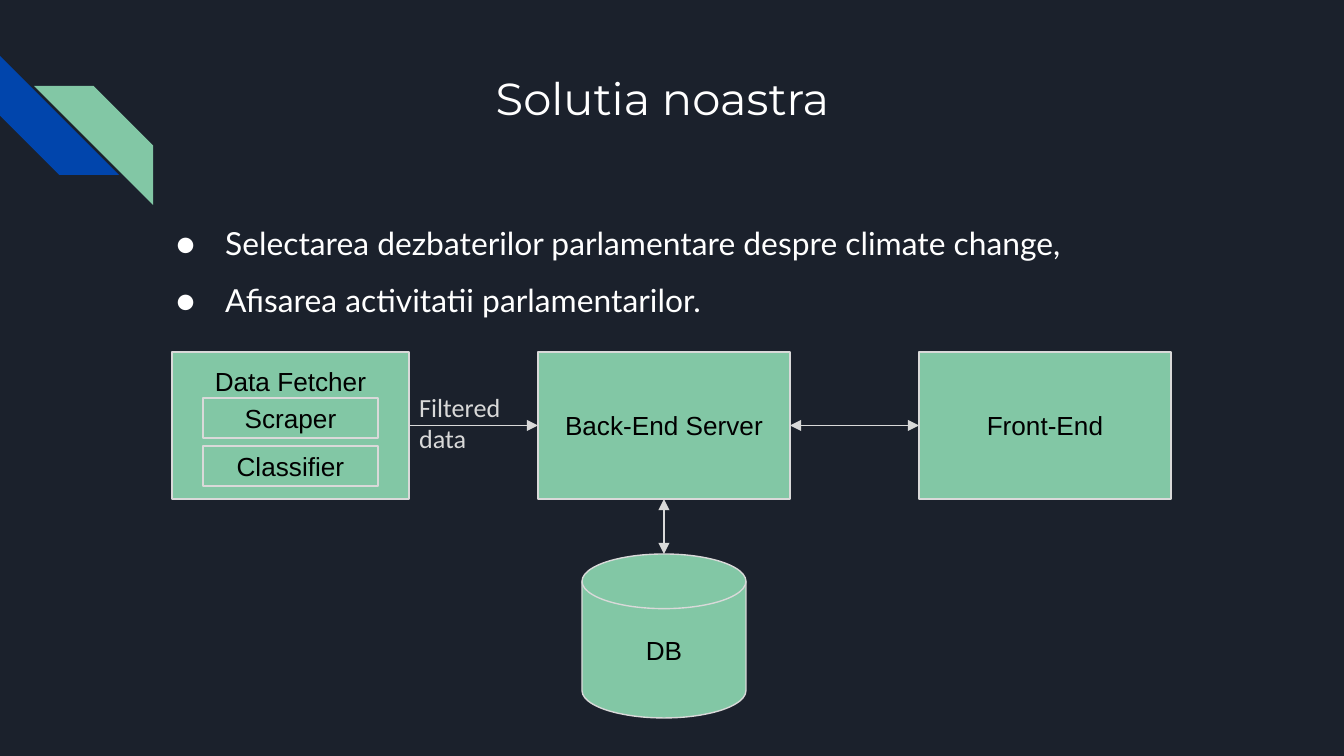
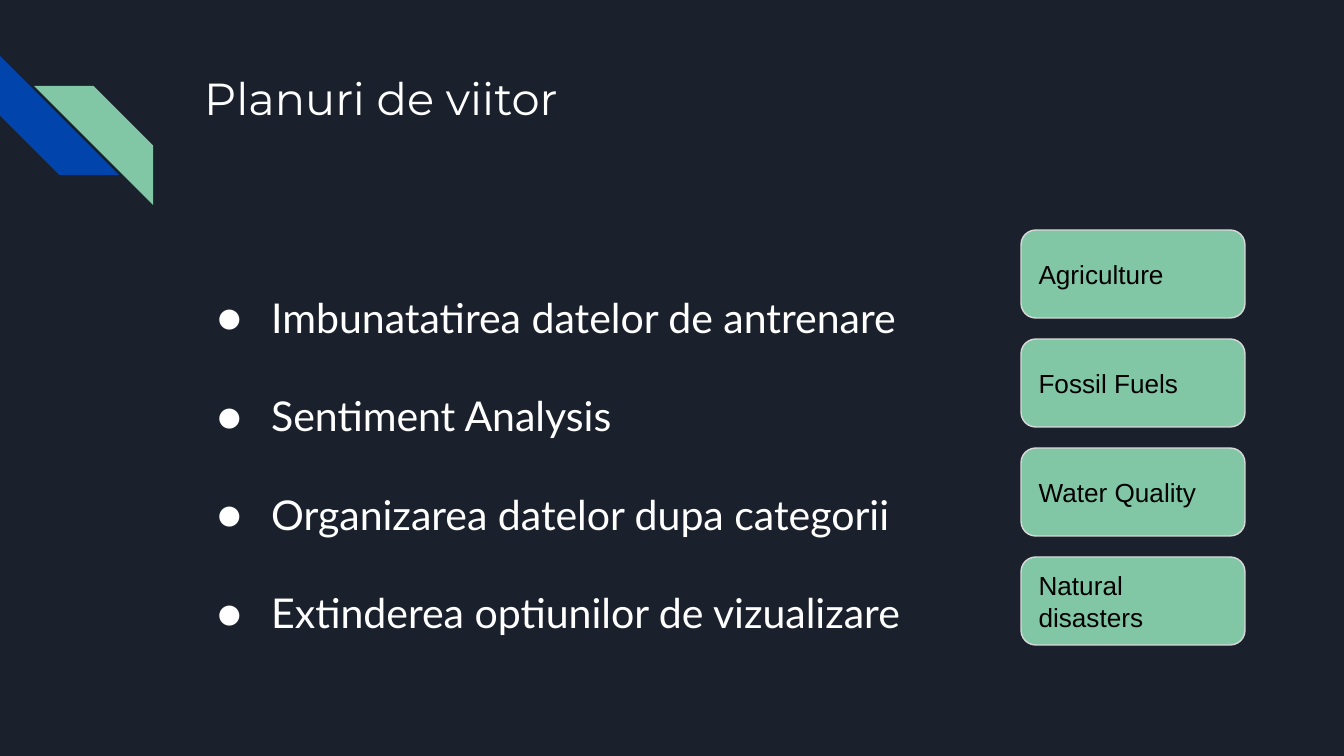
from dataclasses import dataclass
from lxml import etree
from pptx import Presentation
from pptx.dml.color import RGBColor
from pptx.enum import shapes, text
from pptx.oxml import ns
from pptx import util as u

PX = 914400 / 134.4
KIND = shapes.MSO_SHAPE
LEFT, MID = text.PP_ALIGN.LEFT, text.PP_ALIGN.CENTER
TOP, CORE = text.MSO_ANCHOR.TOP, text.MSO_ANCHOR.MIDDLE


@dataclass(frozen=True)
class Theme:
    back: str = "1B212C"
    blue: str = "0145AC"
    green: str = "82C7A5"
    line: str = "D9D9D9"
    white: str = "FFFFFF"
    black: str = "000000"
    title: tuple = ("Montserrat", 24)
    list_font: str = "Lato"
    node: tuple = ("Arial", 14)
    label: tuple = ("Calibri", 14)
    rule: float = 0.75


T = Theme()

STRIPES = [((0, 56, 119, 119), T.blue, 270), ((34, 86, 119, 119), T.green, 90)]

FLOW = {
    "title": "Solutia noastra",
    "goals": [
        "Selectarea dezbaterilor parlamentare despre climate change,",
        "Afisarea activitatii parlamentarilor.",
    ],
    "fetch": "Data Fetcher",
    "steps": ["Scraper", "Classifier"],
    "server": "Back-End Server",
    "front": "Front-End",
    "store": "DB",
    "label": "Filtered data",
}

PLANS = {
    "title": "Planuri de viitor",
    "goals": [
        "Imbunatatirea datelor de antrenare",
        "Sentiment Analysis",
        "Organizarea datelor dupa categorii",
        "Extinderea optiunilor de vizualizare",
    ],
    "topics": ["Agriculture", "Fossil Fuels", "Water Quality", "Natural disasters"],
}


def px(*nums):
    return [u.Emu(round(n * PX)) for n in nums]


def paint(shape, color):
    shape.shadow.inherit = False
    shape.fill.solid()
    shape.fill.fore_color.rgb = RGBColor.from_string(color)


def write(shape, lines, font, color, align=LEFT, anchor=TOP):
    frame = shape.text_frame
    frame.word_wrap = True
    frame.vertical_anchor = anchor
    frame.margin_top, frame.margin_bottom = px(13, 13)
    frame.text = "\n".join(lines)
    for para in frame.paragraphs:
        para.alignment = align
        for run in para.runs:
            run.font.name, run.font.size = font[0], u.Pt(font[1])
            run.font.color.rgb = RGBColor.from_string(color)
    return frame


def add_text(slide, place, lines, font, color=T.white, align=LEFT):
    return write(slide.shapes.add_textbox(*px(*place)), lines, font, color, align)


def add_list(slide, place, lines, size, space, hang):
    frame = add_text(slide, place, lines, (T.list_font, size))
    for para in frame.paragraphs:
        para.line_spacing = space
        props = para._p.get_or_add_pPr()
        props.set("marL", str(px(67)[0]))
        props.set("indent", str(px(-hang)[0]))
        tint = etree.SubElement(props, ns.qn("a:buClr"))
        etree.SubElement(tint, ns.qn("a:srgbClr"), val=T.white)
        etree.SubElement(props, ns.qn("a:buFont"), typeface=T.list_font)
        etree.SubElement(props, ns.qn("a:buChar"), char="●")


def add_node(slide, place, label, kind=KIND.FLOWCHART_PROCESS, align=MID, anchor=CORE):
    node = slide.shapes.add_shape(kind, *px(*place))
    paint(node, T.green)
    node.line.color.rgb = RGBColor.from_string(T.line)
    node.line.width = u.Pt(T.rule)
    write(node, [label], T.node, T.black, align, anchor)
    return node


def add_link(slide, ends, start, stop=None, heads=("headEnd", "tailEnd")):
    link = slide.shapes.add_connector(shapes.MSO_CONNECTOR.STRAIGHT, *px(*ends))
    link.begin_connect(*start)
    if stop:
        link.end_connect(*stop)
    link.line.color.rgb = RGBColor.from_string(T.line)
    link.line.width = u.Pt(T.rule)
    for head in heads:
        etree.SubElement(link.line._get_or_add_ln(), ns.qn("a:" + head), type="triangle")
    etree.SubElement(link._element.spPr, ns.qn("a:effectLst"))


def add_page(deck, title, left, align):
    slide = deck.slides.add_slide(deck.slide_layouts[6])
    slide.background.fill.solid()
    slide.background.fill.fore_color.rgb = RGBColor.from_string(T.back)
    for place, color, turn in STRIPES:
        stripe = slide.shapes.add_shape(KIND.DIAGONAL_STRIPE, *px(*place))
        paint(stripe, color)
        stripe.line.fill.background()
        stripe.rotation = turn
    add_text(slide, (left, 58, 1035, 134), [title], T.title, align=align)
    return slide


def flow_page(deck):
    slide = add_page(deck, FLOW["title"], 145, MID)
    add_list(slide, (145, 192, 1035, 121), FLOW["goals"], 17, 1.5, 49)
    top, high, wide = 352, 147, 252
    base, axis = top + high, top + high // 2
    fetch = add_node(slide, (172, top, 237, high), FLOW["fetch"], anchor=TOP)
    for i, step in enumerate(FLOW["steps"]):
        add_node(slide, (203, 398 + 48 * i, 175, 40), step)
    server = add_node(slide, (538, top, wide, high), FLOW["server"])
    front = add_node(slide, (919, top, wide, high), FLOW["front"])
    mid, disk, drop = 538 + wide // 2, 164, 554
    add_node(slide, (mid - disk // 2, drop, disk, disk), FLOW["store"],
             KIND.FLOWCHART_MAGNETIC_DISK)
    add_link(slide, (538, axis, 409, axis), (server, 1), (fetch, 3), ["headEnd"])
    add_link(slide, (919, axis, 790, axis), (front, 1), (server, 3))
    add_link(slide, (mid, base, mid, drop), (server, 2))
    add_text(slide, (406, 378, 136, 90), [FLOW["label"]], T.label, T.line)


def plan_page(deck):
    slide = add_page(deck, PLANS["title"], 191, LEFT)
    add_list(slide, (191, 230, 789, 427), PLANS["goals"], 22, 2.0, 54)
    for i, topic in enumerate(PLANS["topics"]):
        add_node(slide, (1021, 230 + 109 * i, 224, 88), topic,
                 KIND.FLOWCHART_ALTERNATE_PROCESS, LEFT)


def main():
    deck = Presentation()
    deck.slide_width, deck.slide_height = px(1344, 756)
    flow_page(deck)
    plan_page(deck)
    deck.save("out.pptx")


if __name__ == "__main__":
    main()
